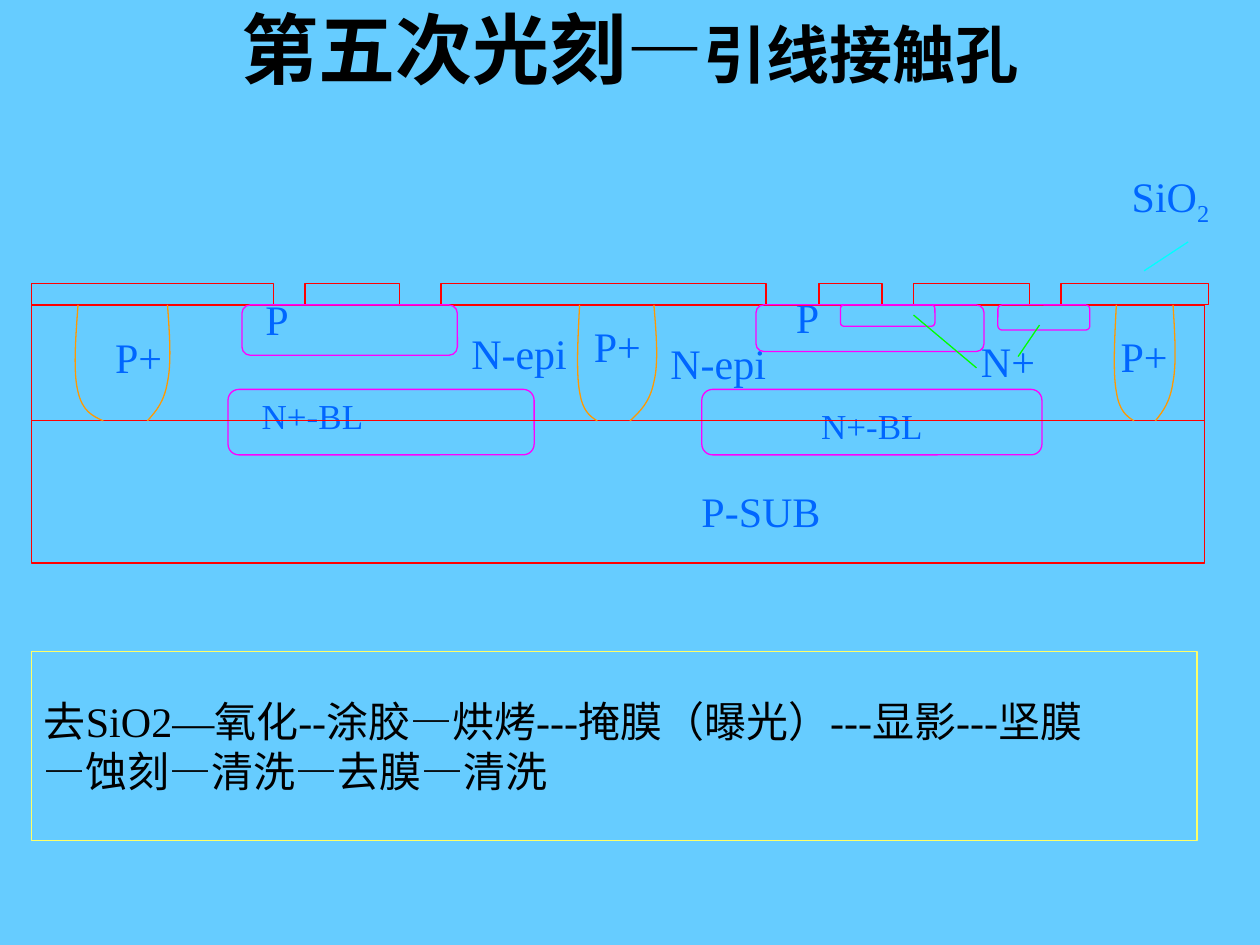
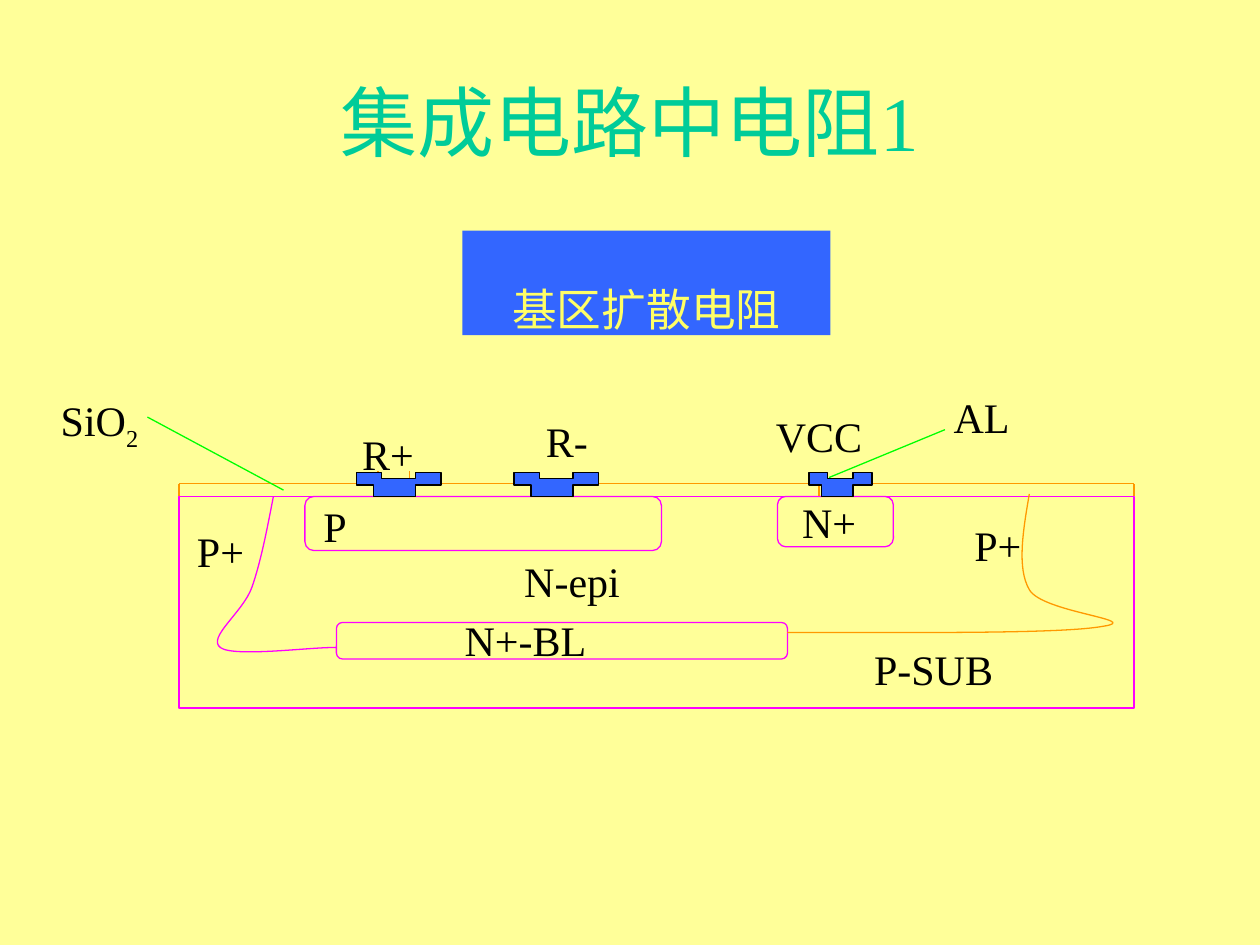
"""Build two slides of integrated circuit cross-sections: contact holes and a base diffusion resistor."""

from dataclasses import dataclass

import lxml.etree
import pptx
import pptx.dml.color
import pptx.enum.shapes
import pptx.enum.text
import pptx.oxml.ns
import pptx.util

COLORS = {
    "sky": "66CCFF", "cream": "FFFF99", "black": "000000", "teal": "00CC99",
    "label": "0066FF", "red": "FF0000", "magenta": "FF00FF", "orange": "FF9900",
    "green": "00FF00", "cyan": "00FFFF", "yellow": "FFFF66", "metal": "3366FF",
}
FONT = "Times New Roman"
LINE_WIDTH = pptx.util.Pt(0.75)
LABEL_WIDTH, LABEL_HEIGHT = 1.2, 0.5
RECT = pptx.enum.shapes.MSO_SHAPE.RECTANGLE
ROUND = pptx.enum.shapes.MSO_SHAPE.ROUNDED_RECTANGLE
LEFT = pptx.enum.text.PP_ALIGN.LEFT
CENTER = pptx.enum.text.PP_ALIGN.CENTER
MIDDLE = pptx.enum.text.MSO_ANCHOR.MIDDLE

Point = tuple[float, float]


@dataclass
class Label:
    text: str
    center_x: float
    center_y: float
    tail: str = ""
    size: int = 24


@dataclass
class Region:
    left: float
    top: float
    width: float
    height: float
    line: str | None = "magenta"
    kind: int = ROUND
    fill: str | None = None


@dataclass
class Stroke:
    start: Point
    end: Point
    color: str


def length(inches: float) -> int:
    """Turn inches into a slide length."""
    return pptx.util.Cm(inches * 2.54)


def rgb(color: str) -> pptx.dml.color.RGBColor:
    """Look up a named colour."""
    return pptx.dml.color.RGBColor.from_string(COLORS[color])


def write_text(frame, *lines: str, size: int = 24, color: str = "black", bold: bool = False,
               align: int = CENTER, wrap: bool = True, baseline: int = 0,
               tail: str = "", tail_size: int | None = None, tail_baseline: int = 0) -> None:
    """Write lines into a frame, with an optional differing run after the last one."""
    frame.word_wrap = wrap
    frame.vertical_anchor = MIDDLE
    for index, line in enumerate(lines):
        paragraph = frame.paragraphs[0] if index == 0 else frame.add_paragraph()
        paragraph.alignment = align
        runs = [(line, size, baseline)]
        if tail and index == len(lines) - 1:
            runs.append((tail, tail_size or size, tail_baseline))
        for text, points, shift in runs:
            run = paragraph.add_run()
            run.text = text
            run.font.name = FONT
            run.font.size = pptx.util.Pt(points)
            run.font.bold = bold
            run.font.color.rgb = rgb(color)
            if shift:
                run.font._element.set("baseline", str(shift * 1000))


def add_text(slide, left: float, top: float, width: float, height: float, *lines: str, **style):
    """Place a text box."""
    box = slide.shapes.add_textbox(*map(length, (left, top, width, height)))
    write_text(box.text_frame, *lines, **style)
    return box


def add_labels(slide, labels: list[Label], color: str) -> None:
    """Place the names of the layers around their centres."""
    for item in labels:
        box = add_text(slide, item.center_x - LABEL_WIDTH / 2, item.center_y - LABEL_HEIGHT / 2,
                       LABEL_WIDTH, LABEL_HEIGHT, item.text, size=item.size, color=color,
                       tail=item.tail, tail_baseline=-25)
        box.text_frame.margin_left = box.text_frame.margin_right = 0


def paint(shape, line: str | None, fill: str | None) -> None:
    """Set outline and fill without a shadow."""
    shape.shadow.inherit = False
    if fill:
        shape.fill.solid()
        shape.fill.fore_color.rgb = rgb(fill)
    else:
        shape.fill.background()
    if line:
        shape.line.color.rgb = rgb(line)
        shape.line.width = LINE_WIDTH
    else:
        shape.line.fill.background()


def add_region(slide, region: Region):
    """Draw one layer or panel."""
    shape = slide.shapes.add_shape(
        region.kind, *map(length, (region.left, region.top, region.width, region.height)))
    paint(shape, region.line, region.fill)
    return shape


def add_stroke(slide, stroke: Stroke) -> None:
    """Draw a straight line."""
    connector = slide.shapes.add_connector(
        pptx.enum.shapes.MSO_CONNECTOR.STRAIGHT, *map(length, stroke.start + stroke.end))
    connector.line.color.rgb = rgb(stroke.color)
    connector.line.width = LINE_WIDTH
    lxml.etree.SubElement(connector._element.spPr, pptx.oxml.ns.qn("a:effectLst"))


def add_outline(slide, points: list[Point], line: str, fill: str | None = None):
    """Draw an outline, closed when it has a fill."""
    start, *rest = [(length(x), length(y)) for x, y in points]
    builder = slide.shapes.build_freeform(*start)
    builder.add_line_segments(rest, close=fill is not None)
    shape = builder.convert_to_shape()
    paint(shape, line, fill)
    return shape


def add_curve(slide, points: list[Point], line: str) -> None:
    """Draw chained cubic curves: a start, then three points for each curve."""
    shape = add_outline(slide, points, line)
    segments = list(shape._element.iter(pptx.oxml.ns.qn("a:lnTo")))
    track = segments[0].getparent()
    for first in range(0, len(segments), 3):
        curve = lxml.etree.SubElement(track, pptx.oxml.ns.qn("a:cubicBezTo"))
        for segment in segments[first:first + 3]:
            curve.append(segment[0])
            track.remove(segment)


def add_isolation_wall(slide, top_x: float, foot_x: float) -> None:
    """Draw one side of a P+ isolation well."""
    shares = (0, -0.1, -0.2, 0, 0.17, 0.55, 1)
    leaning_right = (2.42, 2.69, 2.96, 3.11, 3.26, 3.3, 3.34)
    leaning_left = (2.42, 2.65, 2.88, 3.03, 3.19, 3.26, 3.34)
    depths = leaning_right if foot_x > top_x else leaning_left
    add_curve(slide, [(top_x + share * (foot_x - top_x), y)
                      for share, y in zip(shares, depths)], "orange")


def add_contact(slide, left: float, width: float) -> None:
    """Draw a metal contact that fills an oxide window."""
    rim, dip, shelf, base = 3.75, 3.8, 3.85, 3.94
    profile = [(0, shelf), (0, rim), (0.3, rim), (0.3, dip), (0.7, dip), (0.7, rim),
               (1, rim), (1, shelf), (0.7, shelf), (0.7, base), (0.2, base), (0.2, shelf)]
    add_outline(slide, [(left + share * width, y) for share, y in profile], "black", "metal")


def new_slide(deck, background: str):
    """Add a blank slide with a plain background."""
    slide = deck.slides.add_slide(deck.slide_layouts[6])
    slide.background.fill.solid()
    slide.background.fill.fore_color.rgb = rgb(background)
    return slide


def build_contact_holes(deck) -> None:
    """Build the slide on the fifth lithography step."""
    slide = new_slide(deck, "sky")
    add_text(slide, 0.75, 0, 8.5, 0.75, "第五次光刻—", size=44, bold=True,
             tail="引线接触孔", tail_size=36)
    add_labels(slide, [
        Label("SiO", 9.29, 1.58, tail="2"),
        Label("N+", 8, 2.86),
        Label("N+-BL", 2.48, 3.3, size=20),
        Label("P-SUB", 6.04, 4.05),
        Label("N-epi", 5.7, 2.88),
        Label("N+-BL", 6.92, 3.38, size=20),
        Label("P+", 1.1, 2.83),
        Label("P+", 9.08, 2.82),
        Label("P+", 4.9, 2.74),
        Label("P", 2.2, 2.53),
        Label("P", 6.41, 2.51),
        Label("N-epi", 4.12, 2.8),
    ], "label")
    substrate = Region(0.25, 3.34, 9.31, 1.13, "red", RECT)
    epitaxy = Region(0.25, 2.42, 9.31, 0.92, "red", RECT)
    buried = [Region(1.81, 3.09, 2.43, 0.52), Region(5.57, 3.09, 2.7, 0.52)]
    diffusions = [Region(1.92, 2.42, 1.71, 0.4), Region(6, 2.42, 1.81, 0.37),
                  Region(6.67, 2.42, 0.75, 0.17), Region(7.92, 2.42, 0.73, 0.2)]
    oxide = [Region(left, 2.25, width, 0.17, "red", RECT) for left, width in (
        (0.25, 1.92), (2.42, 0.75), (3.5, 2.58), (6.5, 0.5), (7.25, 0.92), (8.42, 1.17))]
    for region in (substrate, *buried, epitaxy, *oxide, *diffusions):
        add_region(slide, region)
    for top_x, foot_x in ((0.62, 0.82), (1.33, 1.17), (4.6, 4.74),
                          (5.19, 5), (8.86, 9), (9.31, 9.17)):
        add_isolation_wall(slide, top_x, foot_x)
    for leader in (Stroke((7.75, 2.92), (7.25, 2.5), "green"),
                   Stroke((8.25, 2.58), (8.08, 2.83), "green"),
                   Stroke((9.08, 2.15), (9.43, 1.92), "cyan")):
        add_stroke(slide, leader)
    process = add_region(slide, Region(0.25, 5.17, 9.25, 1.5, "yellow", RECT))
    write_text(process.text_frame, "去SiO2—氧化--涂胶—烘烤---掩膜（曝光）---显影---坚膜",
               "—蚀刻—清洗—去膜—清洗", align=LEFT, wrap=False)


def build_resistor(deck) -> None:
    """Build the slide on the base diffusion resistor."""
    slide = new_slide(deck, "cream")
    add_text(slide, 0.75, 0.33, 8.5, 1.25, "集成电路中电阻1", size=44, color="teal")
    for region in (Region(1.42, 3.94, 7.58, 1.68, kind=RECT), Region(2.67, 4.94, 3.58, 0.29),
                   Region(2.42, 3.94, 2.83, 0.43), Region(6.17, 3.94, 0.92, 0.4)):
        add_region(slide, region)
    add_curve(slide, [(2.17, 3.94), (2.12, 4.2), (2.07, 4.46), (2, 4.66), (1.93, 4.86),
                      (1.64, 5.06), (1.75, 5.14), (1.86, 5.22), (2.51, 5.13), (2.67, 5.14)],
              "magenta")
    surface, oxide_top = 3.94, 3.84
    for left, right in ((1.42, 3), (3.25, 4.25), (4.5, 4.83), (4.83, 6.5), (6.75, 7.75), (7.67, 9)):
        add_stroke(slide, Stroke((left, oxide_top), (right, oxide_top), "orange"))
    for x in (1.42, 3, 3.25, 4.25, 4.5, 6.5, 6.75, 9):
        edge_top = 3.74 if x in (3, 3.25) else oxide_top
        add_stroke(slide, Stroke((x, edge_top), (x, surface), "orange"))
    for left, width in ((2.83, 0.67), (4.08, 0.67)):
        add_contact(slide, left, width)
    add_labels(slide, [
        Label("AL", 7.79, 3.31),
        Label("SiO", 0.79, 3.36, tail="2"),
        Label("R+", 3.08, 3.6),
        Label("P", 2.66, 4.17),
        Label("P+", 1.75, 4.37),
        Label("P-SUB", 7.41, 5.31),
        Label("N+", 6.58, 4.14),
        Label("R-", 4.5, 3.5),
        Label("VCC", 6.5, 3.46),
        Label("N+-BL", 4.17, 5.08),
        Label("N-epi", 4.54, 4.61),
        Label("P+", 7.92, 4.32),
    ], "black")
    add_stroke(slide, Stroke((1.17, 3.31), (2.25, 3.89), "green"))
    add_stroke(slide, Stroke((6.58, 3.79), (7.5, 3.41), "green"))
    add_curve(slide, [(8.17, 3.92), (8.12, 4.21), (8.07, 4.51), (8.17, 4.68), (8.27, 4.86),
                      (9.08, 4.92), (8.76, 4.97), (8.44, 5.03), (7.35, 5.02), (6.25, 5.02)],
              "orange")
    add_contact(slide, 6.42, 0.5)
    subtitle = add_region(slide, Region(3.67, 1.83, 2.92, 0.83, None, RECT, "metal"))
    write_text(subtitle.text_frame, "基区扩散电阻", size=44, color="yellow", baseline=-25, wrap=False)


def main() -> None:
    """Build and save the slides."""
    deck = pptx.Presentation()
    deck.slide_width, deck.slide_height = length(10), length(7.5)
    build_contact_holes(deck)
    build_resistor(deck)
    deck.save("out.pptx")


if __name__ == "__main__":
    main()
